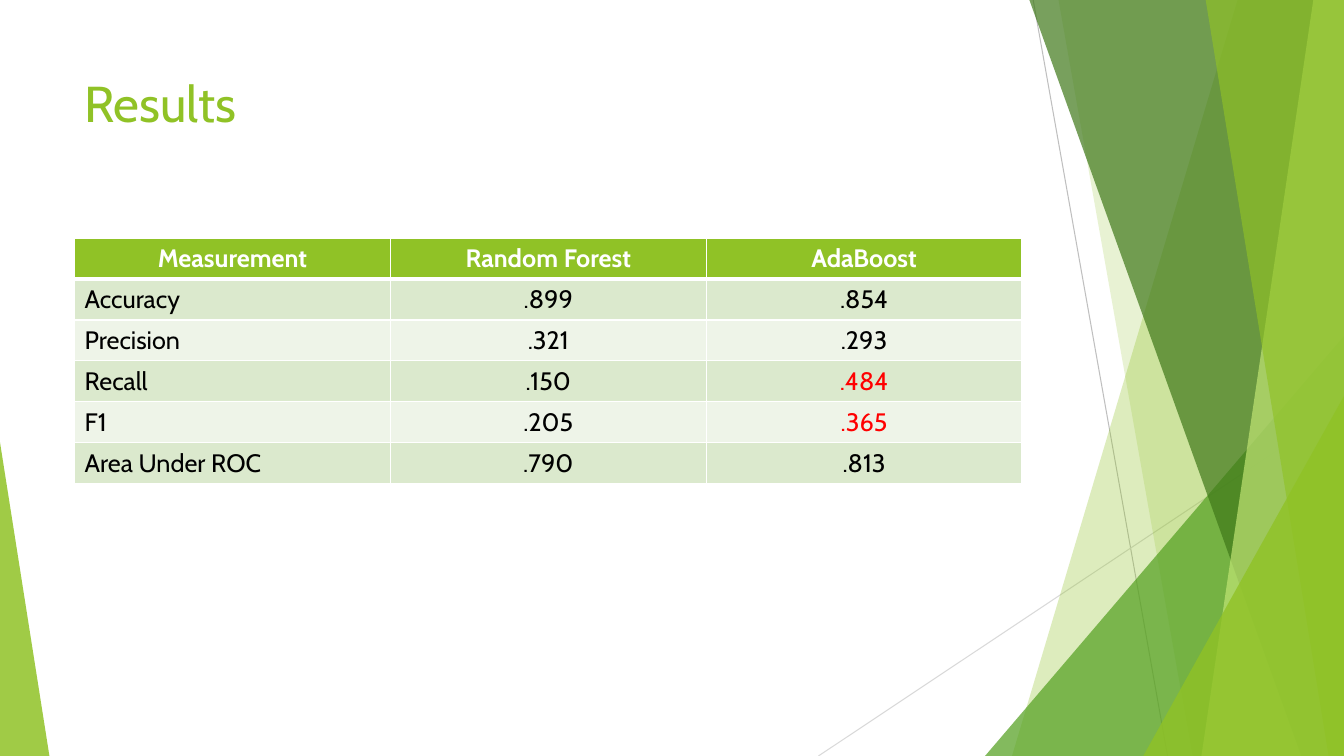
from dataclasses import dataclass

from lxml import etree
from pptx import Presentation
from pptx.dml.color import RGBColor
from pptx.enum.shapes import MSO_CONNECTOR, MSO_SHAPE
from pptx.enum.text import MSO_ANCHOR, PP_ALIGN
from pptx.oxml.ns import qn
from pptx.util import Pt

LINE = MSO_CONNECTOR.STRAIGHT
TRIANGLE = MSO_SHAPE.ISOSCELES_TRIANGLE
TOP = MSO_ANCHOR.TOP
LEFT, CENTER = PP_ALIGN.LEFT, PP_ALIGN.CENTER

WIDE, HIGH = 960, 540


@dataclass(frozen=True)
class Theme:
    font: str = "Cabin"
    title: int = 36
    body: int = 18
    lime: str = "90C226"
    leaf: str = "54A021"
    moss: str = "3F7819"
    pale: str = "C0E474"
    odd: str = "DBE9CD"
    even: str = "EEF4E8"
    white: str = "FFFFFF"
    black: str = "000000"
    red: str = "FF0000"
    gray: str = "BFBFBF"
    mist: str = "D9D9D9"


THEME = Theme()

# Lines: start, end, colour
RAYS = [
    ((738, 0), (834, HIGH), THEME.gray),
    ((WIDE, 290), (584.6, HIGH), THEME.mist),
]
# Bands reaching the right edge: top x, bottom x, colour, opacity
BACK = [(884.2, 722.9, THEME.lime, 30), (756, 851.8, THEME.lime, 20)]
FRONT = [
    (735.1, 929.5, THEME.moss, 70),
    (938.2, 858.2, THEME.pale, 70),
    (861.1, 949, THEME.lime, 65),
]

ROWS = [
    ("Measurement", "Random Forest", "AdaBoost"),
    ("Accuracy", ".899", ".854"),
    ("Precision", ".321", ".293"),
    ("Recall", ".150", ".484"),
    ("F1", ".205", ".365"),
    ("Area Under ROC", ".790", ".813"),
]
MARKED = {".484", ".365"}


def rgb(code):
    return RGBColor.from_string(code)


def paint(shape, color, alpha):
    shape.shadow.inherit = False
    shape.line.fill.background()
    shape.fill.solid()
    shape.fill.fore_color.rgb = rgb(color)
    tone = shape.fill._xPr.find(qn("a:solidFill"))[0]
    etree.SubElement(tone, qn("a:alpha"), val=str(alpha * 1000))


def add_ray(slide, start, end, color):
    ray = slide.shapes.add_connector(LINE, *map(Pt, start + end))
    ray.line.color.rgb = rgb(color)
    ray.line.width = Pt(0.75)
    etree.SubElement(ray._element.spPr, qn("a:effectLst"))


def add_band(slide, top, base, color, alpha):
    form = slide.shapes.build_freeform(Pt(top), Pt(-0.6), scale=1.0)
    corners = [(WIDE, -0.6), (WIDE, HIGH), (base, HIGH)]
    form.add_line_segments([(Pt(x), Pt(y)) for x, y in corners])
    paint(form.convert_to_shape(), color, alpha)


def add_wedge(slide, left, top, width, peak, color, alpha):
    box = map(Pt, (left, top, width, HIGH - top))
    wedge = slide.shapes.add_shape(TRIANGLE, *box)
    wedge.adjustments[0] = peak
    paint(wedge, color, alpha)


def add_run(para, text, size, color, bold=False):
    run = para.add_run()
    run.text = text
    run.font.name = THEME.font
    run.font.size = Pt(size)
    run.font.bold = bold
    run.font.color.rgb = rgb(color)


def add_title(slide, text):
    box = slide.shapes.add_textbox(Pt(53.3), Pt(48), Pt(676.8), Pt(104))
    frame = box.text_frame
    frame.word_wrap = True
    frame.vertical_anchor = TOP
    add_run(frame.paragraphs[0], text, THEME.title, THEME.lime)


def add_edge(cell, side, width):
    props = cell._tc.get_or_add_tcPr()
    edge = etree.SubElement(props, qn(f"a:ln{side}"), w=str(Pt(width)))
    fill = etree.SubElement(edge, qn("a:solidFill"))
    etree.SubElement(fill, qn("a:srgbClr"), val=THEME.white)


def fill_cell(cell, text, row, col):
    head = row == 0
    # Borders come before the fill; the rule under the header is thicker
    heavy = {(0, "B"), (1, "T")}
    for side in "LRTB":
        add_edge(cell, side, 3 if (row, side) in heavy else 1)
    cell.fill.solid()
    band = THEME.odd if row % 2 else THEME.even
    cell.fill.fore_color.rgb = rgb(THEME.lime if head else band)
    ink = THEME.red if text in MARKED else THEME.black
    para = cell.text_frame.paragraphs[0]
    para.alignment = CENTER if head or col else LEFT
    add_run(para, text, THEME.body, THEME.white if head else ink, head)


def add_grid(slide, rows):
    wide, high = 225.6, 29.2
    count, span = len(rows), len(rows[0])
    grid = slide.shapes.add_table(
        count, span, Pt(53.3), Pt(170.2), Pt(wide * span), Pt(high * count)
    ).table
    for col in grid.columns:
        col.width = Pt(wide)
    for r, texts in enumerate(rows):
        grid.rows[r].height = Pt(high)
        for c, text in enumerate(texts):
            fill_cell(grid.cell(r, c), text, r, c)


def main():
    deck = Presentation()
    deck.slide_width, deck.slide_height = Pt(WIDE), Pt(HIGH)
    slide = deck.slides.add_slide(deck.slide_layouts[6])

    # Backdrop, from back to front
    for ray in RAYS:
        add_ray(slide, *ray)
    for band in BACK:
        add_band(slide, *band)
    add_wedge(slide, 703.6, 240, 256.4, 1, THEME.leaf, 72)
    for band in FRONT:
        add_band(slide, *band)
    add_wedge(slide, 816.6, 282.8, 143.4, 1, THEME.lime, 80)
    add_wedge(slide, 0, 316, 35.3, 0, THEME.lime, 85)

    # Content
    add_title(slide, "Results")
    add_grid(slide, ROWS)
    deck.save("out.pptx")


if __name__ == "__main__":
    main()
